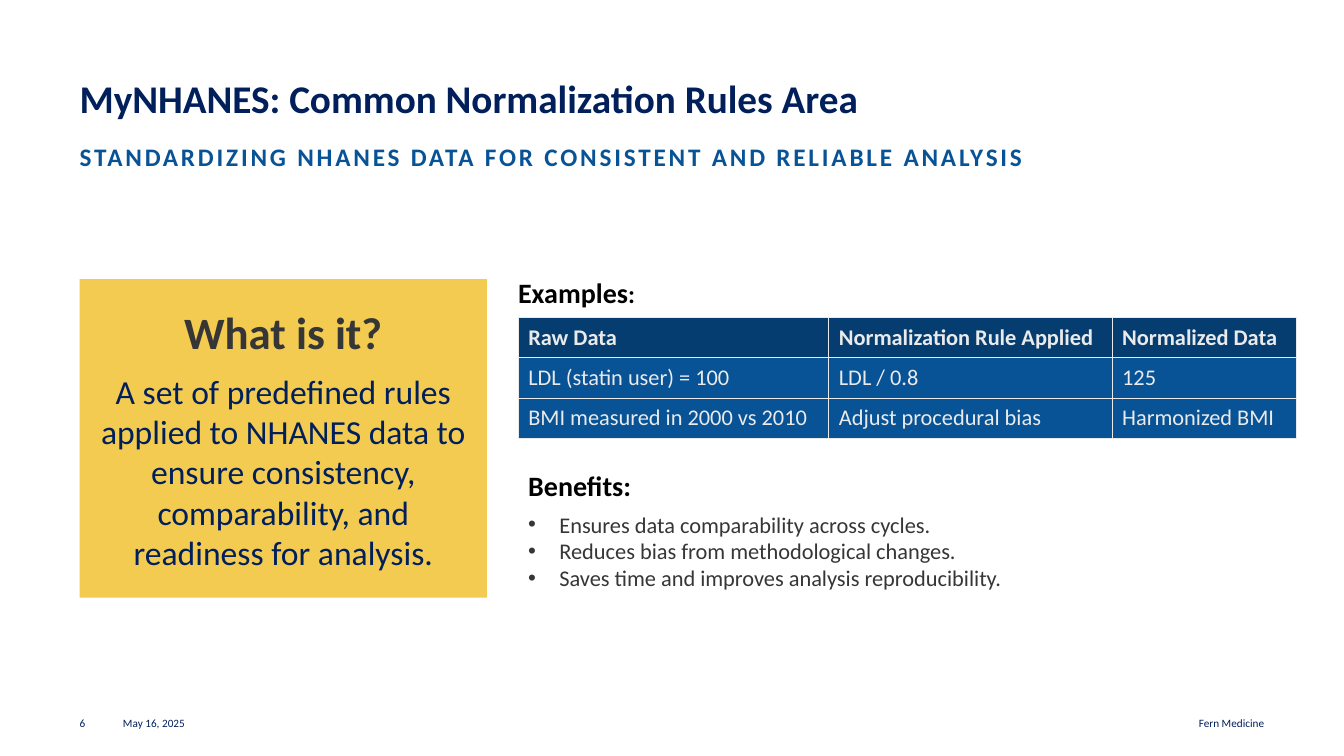
from pptx import Presentation
from pptx.dml.color import RGBColor
from pptx.enum.shapes import MSO_SHAPE
from pptx.enum.text import MSO_ANCHOR, PP_ALIGN
from pptx.oxml.ns import qn
from pptx.util import Inches, Pt
from lxml.etree import SubElement

NAVY = RGBColor(0x01, 0x1F, 0x5B)
BLUE = RGBColor(0x08, 0x52, 0x96)
DEEP = RGBColor(0x06, 0x3D, 0x70)
GOLD = RGBColor(0xF2, 0xCB, 0x50)
GRAY = RGBColor(0x36, 0x36, 0x37)
PALE = RGBColor(0xEA, 0xEA, 0xEA)
BLACK = RGBColor(0, 0, 0)
FONT = "Calibri"

TITLE = "MyNHANES: Common Normalization Rules Area"
SUBTITLE = "STANDARDIZING NHANES DATA FOR CONSISTENT AND RELIABLE ANALYSIS"
QUESTION = "What is it?"
ANSWER = ("A set of predefined rules applied to NHANES data to ensure "
          "consistency, comparability, and readiness for analysis.")
RULES = [
    ("Raw Data", "Normalization Rule Applied", "Normalized Data"),
    ("LDL (statin user) = 100", "LDL / 0.8", "125"),
    ("BMI measured in 2000 vs 2010", "Adjust procedural bias", "Harmonized BMI"),
]
WIDTHS = (3.08, 2.81, 1.83)
ROW = 0.4
BENEFITS = [
    "Ensures data comparability across cycles.",
    "Reduces bias from methodological changes.",
    "Saves time and improves analysis reproducibility.",
]
FOOTER = [  # text, left, width, alignment
    ("6", 0.79, 0.43, PP_ALIGN.LEFT),
    ("May 16, 2025", 1.22, 3, PP_ALIGN.LEFT),
    ("Fern Medicine", 9.9, 2.64, PP_ALIGN.RIGHT),
]

deck = Presentation()
deck.slide_width, deck.slide_height = Inches(13.33), Inches(7.5)
slide = deck.slides.add_slide(deck.slide_layouts[6])


def style(para, size, color, bold=False):
    for run in para.runs:
        run.font.name = FONT
        run.font.size = Pt(size)
        run.font.bold = bold
        run.font.color.rgb = color


def add_text(text, place, size, color, bold=False, inset=True):
    box = slide.shapes.add_textbox(*map(Inches, place))
    frame = box.text_frame
    frame.word_wrap = True
    if not inset:
        frame.margin_left = frame.margin_right = 0
        frame.margin_top = frame.margin_bottom = 0
    frame.text = text
    style(frame.paragraphs[0], size, color, bold)
    return frame


def add_bullet(para):
    props = para._p.get_or_add_pPr()
    props.set("marL", str(Inches(0.31)))
    props.set("indent", str(-Inches(0.31)))
    SubElement(props, qn("a:buFont")).set("typeface", "Arial")
    SubElement(props, qn("a:buChar")).set("char", "•")


def add_border(cell):
    props = cell._tc.get_or_add_tcPr()
    for at, side in enumerate(("a:lnL", "a:lnR", "a:lnT", "a:lnB")):
        line = props.makeelement(qn(side), {"w": str(Pt(1))})
        fill = SubElement(line, qn("a:solidFill"))
        SubElement(fill, qn("a:srgbClr")).set("val", str(PALE))
        props.insert(at, line)


# Headings and footer
head = add_text(TITLE, (0.79, 0.79, 11.76, 0.61), 28, NAVY, True, False)
head.paragraphs[0].line_spacing = 0.9
sub = add_text(SUBTITLE, (0.79, 1.4, 11.76, 0.38), 18, BLUE, True, False)
sub.paragraphs[0].runs[0].font._element.set("spc", "200")
for text, left, width, align in FOOTER:
    foot = add_text(text, (left, 7.04, width, 0.2), 8, NAVY, inset=False)
    foot.vertical_anchor = MSO_ANCHOR.BOTTOM
    foot.paragraphs[0].alignment = align

# Definition card
card = slide.shapes.add_shape(
    MSO_SHAPE.RECTANGLE, *map(Inches, (0.79, 2.77, 4.04, 3.16)))
card.shadow.inherit = False
card.fill.solid()
card.fill.fore_color.rgb = GOLD
card.line.fill.background()
frame = card.text_frame
frame.word_wrap = True
frame.vertical_anchor = MSO_ANCHOR.MIDDLE
frame.text = QUESTION
ask = frame.paragraphs[0]
ask.space_after = Pt(6)
style(ask, 32, GRAY, True)
reply = frame.add_paragraph()
reply.text = ANSWER
reply.space_before = Pt(2.5)
style(reply, 24, NAVY)
for para in frame.paragraphs:
    para.alignment = PP_ALIGN.CENTER

# Examples table
label = add_text("Examples", (5.04, 2.68, 6.67, 0.44), 20, BLACK, True)
colon = label.paragraphs[0].add_run()
colon.text = ":"
style(label.paragraphs[0], 20, BLACK, True)
colon.font.size = Pt(18)

place = (5.14, 3.15, sum(WIDTHS), ROW * len(RULES))
table = slide.shapes.add_table(
    len(RULES), len(WIDTHS), *map(Inches, place)).table
for col, width in zip(table.columns, WIDTHS):
    col.width = Inches(width)
for r, rule in enumerate(RULES):
    table.rows[r].height = Inches(ROW)
    for c, text in enumerate(rule):
        cell = table.cell(r, c)
        cell.text = text
        cell.vertical_anchor = MSO_ANCHOR.MIDDLE
        cell.fill.solid()
        cell.fill.fore_color.rgb = BLUE if r else DEEP
        style(cell.text_frame.paragraphs[0], 16, PALE, r == 0)
        add_border(cell)

# Benefits list
gains = add_text("Benefits:", (5.14, 4.6, 5.45, 1.33), 20, BLACK, True)
gains.paragraphs[0].space_after = Pt(6)
for text in BENEFITS:
    para = gains.add_paragraph()
    para.text = text
    add_bullet(para)
    style(para, 16, GRAY)

deck.save("out.pptx")
